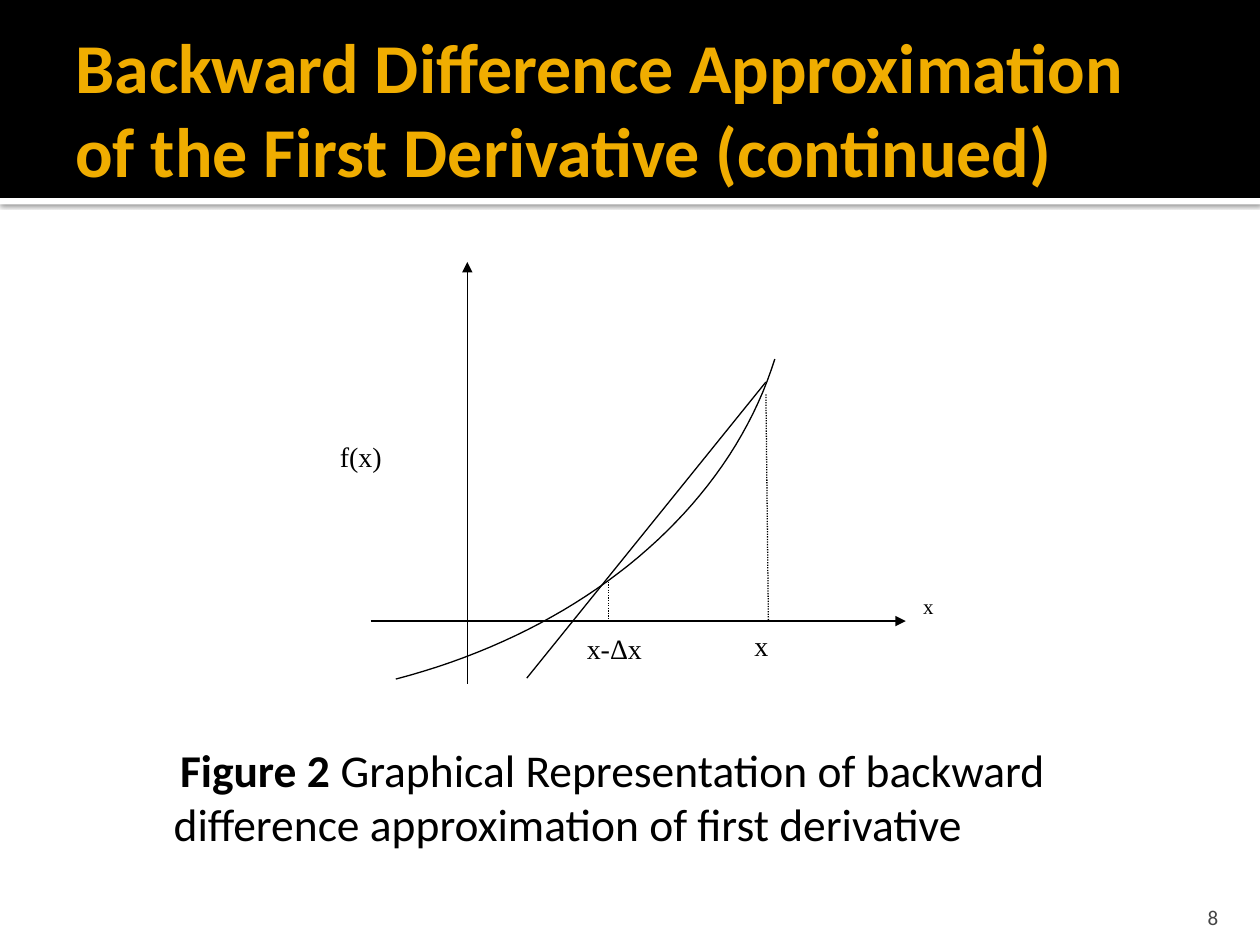
from lxml import etree
from pptx import Presentation
from pptx import util as u
from pptx.dml.color import RGBColor
from pptx.enum import dml, shapes, text
from pptx.oxml import parse_xml
from pptx.oxml.ns import nsdecls, qn

BLACK = RGBColor(0, 0, 0)
WHITE = RGBColor(255, 255, 255)
GOLD = RGBColor(0xF0, 0xAD, 0x00)
GREY = RGBColor(0x45, 0x45, 0x45)
SHADOW = (
    f'<a:effectLst {nsdecls("a")}><a:outerShdw blurRad="31750" dist="10160" '
    'dir="5400000" algn="tl" rotWithShape="0"><a:srgbClr val="000000">'
    '<a:alpha val="60000"/></a:srgbClr></a:outerShdw></a:effectLst>'
)


def add_span(para, words, size, font="Calibri", color=BLACK, bold=False):
    span = para.add_run()
    span.text = words
    span.font.size = u.Pt(size)
    span.font.name = font
    span.font.color.rgb = color
    span.font.bold = bold


def cm(*lengths):
    return [u.Cm(length) for length in lengths]


class SlideWriter:
    label_font = "Times New Roman"
    line_width = u.Pt(0.75)

    def __init__(self, deck):
        self.page = deck.slides.add_slide(deck.slide_layouts[1])

    def frame(self, box, insets, anchor=text.MSO_ANCHOR.TOP):
        frame = box.text_frame
        frame.word_wrap = True
        frame.auto_size = text.MSO_AUTO_SIZE.NONE
        frame.vertical_anchor = anchor
        (frame.margin_left, frame.margin_top,
         frame.margin_right, frame.margin_bottom) = cm(*insets)
        return frame.paragraphs[0]

    def placeholder(self, index, place, insets, anchor=text.MSO_ANCHOR.TOP):
        box = self.page.placeholders[index]
        box.left, box.top, box.width, box.height = cm(*place)
        para = self.frame(box, insets, anchor)
        para.alignment = text.PP_ALIGN.LEFT
        para.space_before = u.Pt(0)
        return para

    def title(self, words):
        para = self.placeholder(0, (1.27, 0.43, 22.86, 3.48),
                                (0.25, 0.13, 0.13, 0.13), text.MSO_ANCHOR.MIDDLE)
        add_span(para, words, 40, color=GOLD, bold=True)

    def caption(self, heading, words):
        para = self.placeholder(1, (2.13, 14.45, 22.86, 2.82),
                                (0.15, 0.5, 0.25, 0.13))
        properties = para._p.get_or_add_pPr()
        properties.set("marL", str(u.Cm(1.22)))
        properties.set("indent", str(u.Cm(0.13)))
        etree.SubElement(properties, qn("a:buNone"))
        add_span(para, heading, 26, bold=True)
        add_span(para, words, 26)

    def rectangle(self, place, color):
        box = self.page.shapes.add_shape(shapes.MSO_SHAPE.RECTANGLE, *cm(*place))
        box.shadow.inherit = False
        box.fill.solid()
        box.fill.fore_color.rgb = color
        box.line.fill.background()
        return box

    def backdrop(self, place, color, shadow=False):
        box = self.rectangle(place, color)
        if shadow:
            properties = box._element.spPr
            properties.replace(properties.find(qn("a:effectLst")), parse_xml(SHADOW))
        self.page.shapes._spTree.insert(2, box._element)

    def label(self, words, place, size=16):
        para = self.frame(self.rectangle(place, WHITE), (0.25, 0.13, 0.25, 0.13))
        para.alignment = text.PP_ALIGN.LEFT
        add_span(para, words, size, font=self.label_font)

    def number(self, words, place):
        box = self.page.shapes.add_textbox(*cm(*place))
        para = self.frame(box, (0.25, 0.13, 0.25, 0), text.MSO_ANCHOR.BOTTOM)
        para.alignment = text.PP_ALIGN.RIGHT
        add_span(para, words, 12, color=GREY)

    def line(self, ends, arrow=False, dotted=False):
        line = self.page.shapes.add_connector(
            shapes.MSO_CONNECTOR.STRAIGHT, *cm(*ends))
        line.line.color.rgb = BLACK
        line.line.width = self.line_width
        if dotted:
            line.line.dash_style = dml.MSO_LINE.ROUND_DOT
        if arrow:
            etree.SubElement(line.line._get_or_add_ln(), qn("a:tailEnd"),
                             type="triangle")
        etree.SubElement(line._element.spPr, qn("a:effectLst"))

    def curve(self, controls, steps=40):
        points = []
        for step in range(steps + 1):
            t = step / steps
            weights = ((1 - t) ** 3, 3 * t * (1 - t) ** 2, 3 * t * t * (1 - t), t ** 3)
            points.append([u.Cm(sum(w * c for w, c in zip(weights, axis)))
                           for axis in zip(*controls)])
        builder = self.page.shapes.build_freeform(*points[0])
        builder.add_line_segments(points[1:], close=False)
        curve = builder.convert_to_shape()
        curve.shadow.inherit = False
        curve.fill.background()
        curve.line.color.rgb = BLACK
        curve.line.width = self.line_width


def main():
    deck = Presentation()
    deck.slide_width, deck.slide_height = cm(25.4, 19.05)
    writer = SlideWriter(deck)
    writer.backdrop((0, 0, 25.4, 3.99), BLACK)
    writer.backdrop((0, 3.99, 25.4, 0.13), WHITE, shadow=True)
    writer.title("Backward Difference Approximation of the First Derivative (continued)")
    writer.caption("Figure 2", " Graphical Representation of backward difference "
                   "approximation of first derivative")
    writer.number("8", (22.78, 17.98, 2.03, 0.76))

    axis_x, axis_y = 9.42, 12.52
    writer.line((axis_x, 5.79, axis_x, 5.28), arrow=True)
    writer.line((17.78, axis_y, 18.26, axis_y), arrow=True)
    writer.line((7.47, axis_y, 17.93, axis_y))
    writer.line((15.44, 7.95, 15.49, axis_y), dotted=True)
    writer.line((12.27, 11.73, 12.27, 12.47), dotted=True)
    writer.line((axis_x, 5.69, axis_x, 13.79))
    writer.curve([(7.98, 13.69), (11.79, 12.7), (14.68, 10.26), (15.62, 7.24)])
    writer.line((15.44, 7.7, 10.62, 13.67))

    writer.label("x", (14.96, 12.55, 1.45, 1.3))
    writer.label("x-Δx", (11.58, 12.6, 2.41, 1.45))
    writer.label("x", (18.36, 11.84, 1.45, 1.32), size=12)
    writer.label("f(x)", (6.6, 8.74, 1.93, 1.5))
    deck.save("out.pptx")


if __name__ == "__main__":
    main()
